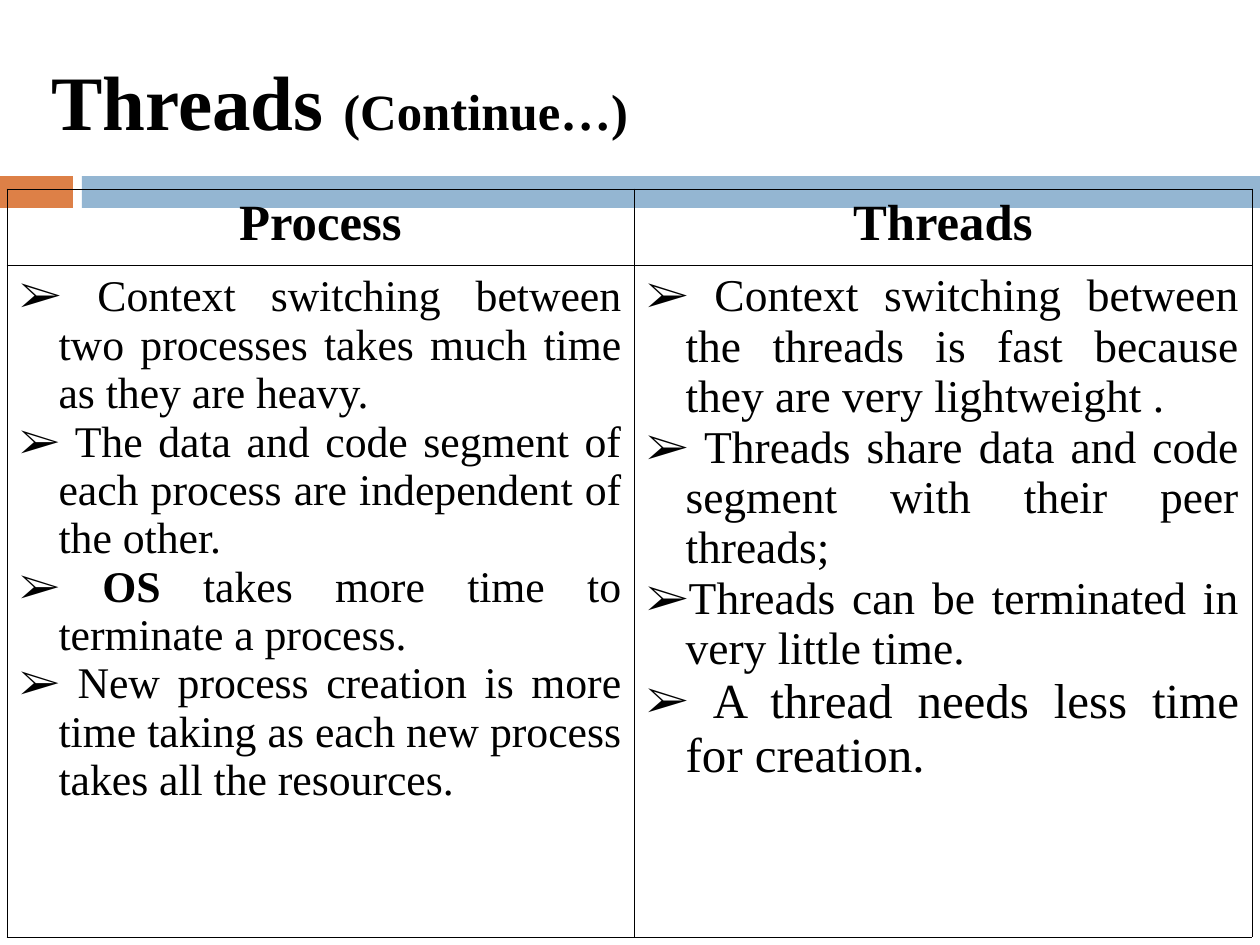
import pptx
import pptx.dml.color
import pptx.enum.shapes
import pptx.enum.text
import pptx.oxml
import pptx.oxml.ns
import pptx.util
from dataclasses import dataclass

PX = 914400 // 126
ALIGN = pptx.enum.text.PP_ALIGN


@dataclass(frozen=True)
class Theme:
    font: str = "Times New Roman"
    ink: str = "000000"
    orange: str = "DD8047"
    blue: str = "94B6D2"
    title: int = 44
    heading: int = 29
    large: int = 28
    medium: int = 26
    body: int = 25
    border: float = 0.45


THEME = Theme()

# Runs are (text, size, bold)
TITLE = [("Threads ", THEME.title, True), ("(Continue…)", THEME.heading, True)]
BANDS = [((0, 176, 73, 32), THEME.orange), ((82, 176, 1178, 32), THEME.blue)]
HEADINGS = ["Process", "Threads"]
PROCESS_POINTS = [
    [(" ", THEME.medium, False),
     ("Context switching between two processes takes much time as they are heavy.",
      THEME.body, False)],
    [(" The data and code segment of each process are independent of the other.",
      THEME.body, False)],
    [(" ", THEME.body, False), ("OS", THEME.body, True),
     (" takes more time to terminate a process.", THEME.body, False)],
    [(" New process creation is more time taking as each new process takes all "
      "the resources.", THEME.body, False)],
]
THREAD_POINTS = [
    [(" Context switching between the threads is fast because they are very "
      "lightweight .", THEME.medium, False)],
    [(" Threads share data and code segment with their peer threads;",
      THEME.medium, False)],
    [("Threads can be terminated in very little time.", THEME.medium, False)],
    [(" ", THEME.medium, False),
     ("A thread needs less time for creation.", THEME.large, False)],
]
TITLE_BOX = (39, 32, 1169, 136)
TABLE_ORIGIN = (7, 189)
COLUMN_WIDTHS = [627, 618]
ROW_HEIGHTS = [76, 672]
BULLET = "➢"
BULLET_INDENT = 39


def px(*lengths):
    return [length * PX for length in lengths]


def rgb(colour):
    return pptx.dml.color.RGBColor.from_string(colour)


def add_runs(paragraph, runs):
    for text, size, bold in runs:
        run = paragraph.add_run()
        run.text = text
        run.font.name = THEME.font
        run.font.size = pptx.util.Pt(size)
        run.font.bold = bold
        run.font.color.rgb = rgb(THEME.ink)


def add_bullet(paragraph):
    properties = paragraph._p.get_or_add_pPr()
    properties.set("marL", str(BULLET_INDENT * PX))
    properties.set("indent", str(-BULLET_INDENT * PX))
    namespace = pptx.oxml.ns.nsdecls("a")
    for xml in (
        f'<a:buClr {namespace}><a:srgbClr val="{THEME.ink}"/></a:buClr>',
        f'<a:buFont {namespace} typeface="{THEME.font}"/>',
        f'<a:buChar {namespace} char="{BULLET}"/>',
    ):
        properties.append(pptx.oxml.parse_xml(xml))


def style_cell(cell):
    """Clear the fill and draw a thin line on all four sides."""
    cell.fill.background()
    properties = cell._tc.get_or_add_tcPr()
    width = int(pptx.util.Pt(THEME.border))
    for position, side in enumerate(("lnL", "lnR", "lnT", "lnB")):
        properties.insert(position, pptx.oxml.parse_xml(
            f'<a:{side} {pptx.oxml.ns.nsdecls("a")} w="{width}"><a:solidFill>'
            f'<a:srgbClr val="{THEME.ink}"/></a:solidFill></a:{side}>'))


def add_bands(slide):
    for box, colour in BANDS:
        band = slide.shapes.add_shape(
            pptx.enum.shapes.MSO_SHAPE.RECTANGLE, *px(*box))
        band.shadow.inherit = False
        band.fill.solid()
        band.fill.fore_color.rgb = rgb(colour)
        band.line.fill.background()


def add_title(slide):
    frame = slide.shapes.add_textbox(*px(*TITLE_BOX)).text_frame
    frame.word_wrap = True
    frame.vertical_anchor = pptx.enum.text.MSO_ANCHOR.MIDDLE
    add_runs(frame.paragraphs[0], TITLE)


def add_comparison(slide):
    size = (sum(COLUMN_WIDTHS), sum(ROW_HEIGHTS))
    table = slide.shapes.add_table(
        len(ROW_HEIGHTS), len(COLUMN_WIDTHS), *px(*TABLE_ORIGIN, *size)).table
    table.first_row = False
    table.horz_banding = False
    for column, width in zip(table.columns, px(*COLUMN_WIDTHS)):
        column.width = width
    for row, height in zip(table.rows, px(*ROW_HEIGHTS)):
        row.height = height
    for cell in table.iter_cells():
        style_cell(cell)

    for index, points in enumerate((PROCESS_POINTS, THREAD_POINTS)):
        heading = table.cell(0, index).text_frame.paragraphs[0]
        heading.alignment = ALIGN.CENTER
        add_runs(heading, [(HEADINGS[index], THEME.heading, True)])
        frame = table.cell(1, index).text_frame
        for number, runs in enumerate(points):
            paragraph = frame.add_paragraph() if number else frame.paragraphs[0]
            add_bullet(paragraph)
            paragraph.alignment = ALIGN.JUSTIFY
            add_runs(paragraph, runs)


def main():
    presentation = pptx.Presentation()
    presentation.slide_width, presentation.slide_height = px(1260, 945)
    slide = presentation.slides.add_slide(presentation.slide_layouts[6])
    add_bands(slide)
    add_title(slide)
    add_comparison(slide)
    presentation.save("out.pptx")


if __name__ == "__main__":
    main()
